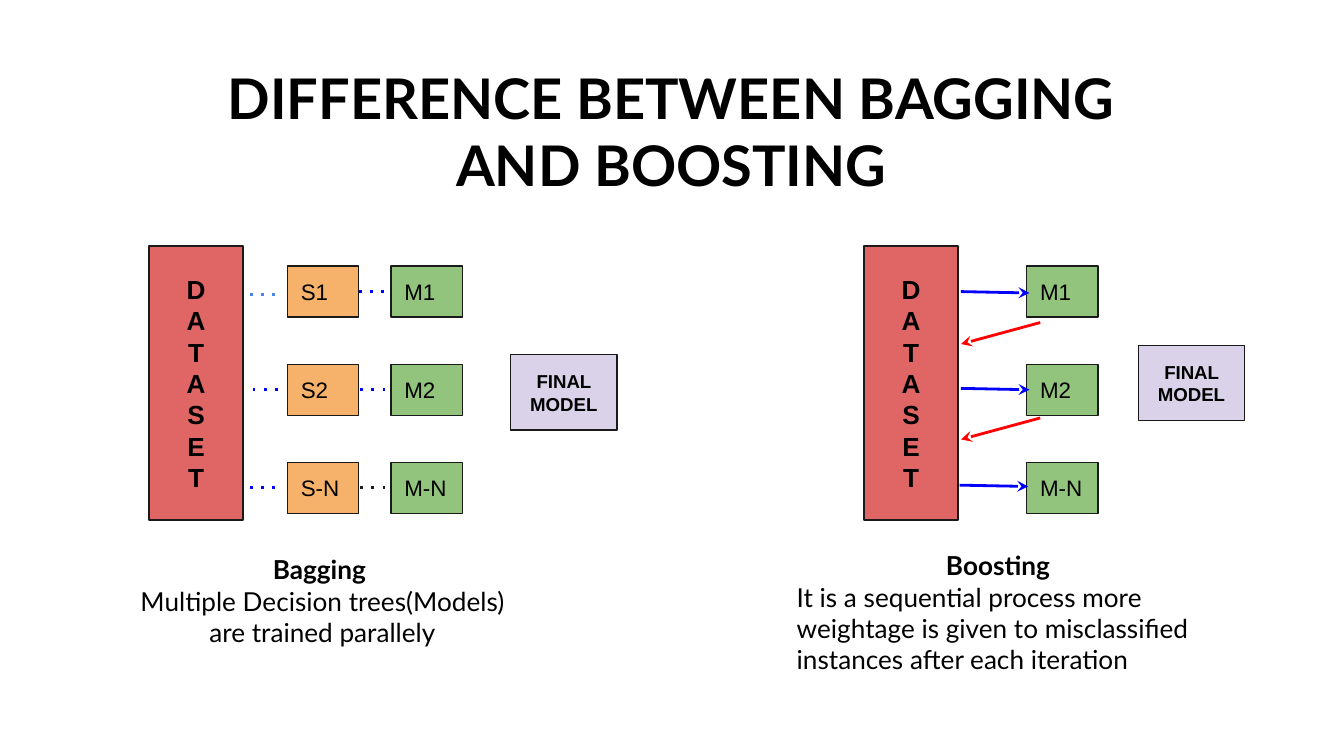
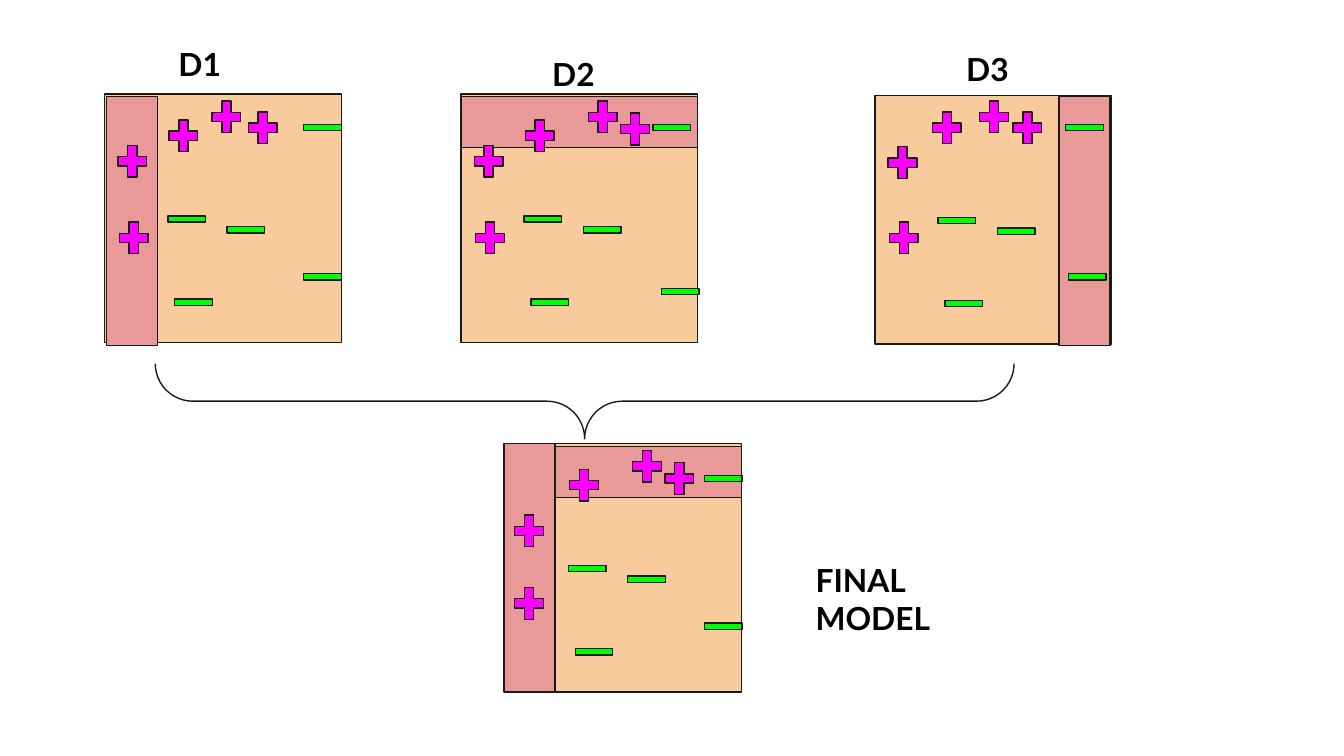
import pptx
import pptx.dml.color
import pptx.enum.dml
import pptx.enum.shapes
import pptx.enum.text
import pptx.oxml
import pptx.oxml.ns
import pptx.util

RGB = pptx.dml.color.RGBColor
SHAPE = pptx.enum.shapes.MSO_SHAPE
ALIGN = pptx.enum.text.PP_ALIGN
PX = 9144  # EMU in one px, 100 px to the inch

# Shared style
BLACK, INK = RGB(0, 0, 0), RGB(0x1A, 0x1A, 0x1A)
RED, ORANGE, GREEN = RGB(0xE0, 0x66, 0x66), RGB(0xF6, 0xB2, 0x6B), RGB(0x93, 0xC4, 0x7D)
LILAC, PEACH, ROSE = RGB(0xD9, 0xD2, 0xE9), RGB(0xF9, 0xCB, 0x9C), RGB(0xEA, 0x99, 0x99)
MAGENTA, LIME = RGB(0xFF, 0, 0xFF), RGB(0, 0xFF, 0)
BLUE, SKY, ARROW_RED = RGB(0, 0, 0xFF), RGB(0x4A, 0x86, 0xE8), RGB(0xFF, 0, 0)
HEAD_FONT, BOX_FONT = "Lato", "Arial"

# Slide 1: comparison
TITLE = "DIFFERENCE BETWEEN BAGGING AND BOOSTING"
FINAL = "FINAL MODEL"
ROW_TOP, ROW_STEP = 198, 73
DATASET_LEFTS = (111, 643)
COLUMNS = [  # left, fill, labels
    (214, ORANGE, ("S1", "S2", "S-N")),
    (291, GREEN, ("M1", "M2", "M-N")),
    (764, GREEN, ("M1", "M2", "M-N")),
]
FINAL_BOXES = [(380, 264), (847, 257)]
DOTTED_LINES = [  # left, y, colour
    (267, 217, BLUE), (186, 219, SKY), (188, 290, BLUE),
    (186, 363, BLUE), (268, 290, BLUE), (268, 363, INK),
]
ARROWS = [  # start, end, colour
    ((715, 217), (766, 218), BLUE), ((715, 289), (766, 290), BLUE),
    ((714, 361), (765, 362), BLUE),
    ((774, 240), (715, 256), ARROW_RED), ((774, 311), (715, 327), ARROW_RED),
]
CAPTIONS = [  # area, heading, body, body alignment
    ((89, 402, 302, 84), "Bagging ",
     "Multiple Decision trees(Models) are trained parallely", ALIGN.CENTER),
    ((583, 399, 324, 121), "Boosting ",
     "It is a sequential process more weightage is given to misclassified "
     "instances after each iteration", ALIGN.LEFT),
]

# Slide 2: panels, with bands and marks placed from the panel corner
COMMON_MINUSES = [(86, 91), (47, 145), (42, 83)]
LEFT_BAND, TOP_BAND, RIGHT_BAND = (1, 2, 38, 185), (0, 2, 176, 38), (137, 1, 38, 185)
PANELS = [
    {"corner": (78, 70), "bands": [LEFT_BAND],
     "pluses": [(44, 15), (76, 1), (103, 9), (7, 91), (6, 34)],
     "minuses": [(143, 15), (143, 126)]},
    {"corner": (343, 70), "bands": [TOP_BAND],
     "pluses": [(44, 15), (91, 1), (115, 10), (7, 91), (6, 34)],
     "minuses": [(138, 15), (144, 137)]},
    {"corner": (651, 71), "bands": [RIGHT_BAND],
     "pluses": [(39, 8), (74, 0), (99, 8), (7, 90), (6, 34)],
     "minuses": [(137, 14), (139, 125)]},
    {"corner": (376, 330), "bands": [TOP_BAND, (-1, 0, 38, 185)],
     "pluses": [(44, 15), (91, 1), (115, 10), (3, 103), (3, 49)],
     "minuses": [(143, 16), (143, 126)]},
]
LABELS = [
    ("D1", (123, 23, 60, 32)), ("D2", (401, 31, 60, 32)),
    ("D3", (709, 27, 60, 32)), (FINAL, (597, 407, 176, 49)),
]
BRACE = (407, -21, 56, 639)


def scaled(values):
    return [value * PX for value in values]


def write(holder, lines, size, font, anchor=pptx.enum.text.MSO_ANCHOR.TOP):
    """Each line is (text, bold, alignment) and becomes one paragraph."""
    frame = holder.text_frame
    frame.word_wrap = True
    frame.vertical_anchor = anchor
    frame.margin_left = frame.margin_right = 10 * PX
    frame.margin_top = frame.margin_bottom = 10 * PX
    for index, (text, bold, align) in enumerate(lines):
        para = frame.add_paragraph() if index else frame.paragraphs[0]
        para.alignment = align
        span = para.add_run()
        span.text = text
        span.font.name = font
        span.font.size = pptx.util.Pt(size)
        span.font.bold = bold
        span.font.color.rgb = BLACK


def add_text(page, area, lines, size):
    write(page.shapes.add_textbox(*scaled(area)), lines, size, HEAD_FONT)


def add_figure(page, kind, area, fill=None):
    shape = page.shapes.add_shape(kind, *scaled(area))
    shape.shadow.inherit = False
    if fill is None:
        shape.fill.background()
    else:
        shape.fill.solid()
        shape.fill.fore_color.rgb = fill
    shape.line.color.rgb = INK
    shape.line.width = pptx.util.Pt(0.75)
    return shape


def add_box(page, area, fill, lines, size):
    box = add_figure(page, SHAPE.RECTANGLE, area, fill)
    write(box, lines, size, BOX_FONT, pptx.enum.text.MSO_ANCHOR.MIDDLE)


def add_line(page, start, end, color, arrow=False):
    connector = page.shapes.add_connector(
        pptx.enum.shapes.MSO_CONNECTOR.STRAIGHT, *scaled(start + end))
    connector.line.color.rgb = color
    connector.line.width = pptx.util.Pt(1.5)
    properties = connector._element.spPr
    if arrow:
        outline = properties.find(pptx.oxml.ns.qn("a:ln"))
        head = outline.makeelement(pptx.oxml.ns.qn("a:tailEnd"), {"type": "stealth"})
        outline.append(head)
    else:
        connector.line.dash_style = pptx.enum.dml.MSO_LINE.ROUND_DOT
        dash = properties.find(".//" + pptx.oxml.ns.qn("a:prstDash"))
        dash.set("val", "dot")
    properties.append(properties.makeelement(pptx.oxml.ns.qn("a:effectLst")))


def build_comparison(page):
    add_text(page, (153, 37, 693, 110), [(TITLE, True, ALIGN.CENTER)], 30)
    # Datasets and their samples and models
    for left in DATASET_LEFTS:
        letters = [(letter, True, ALIGN.CENTER) for letter in "DATASET"]
        add_box(page, (left, 183, 70, 204), RED, letters, 14)
    for left, fill, labels in COLUMNS:
        for row, label in enumerate(labels):
            area = (left, ROW_TOP + row * ROW_STEP, 53, 38)
            add_box(page, area, fill, [(label, False, ALIGN.LEFT)], 12)
    for left, top in FINAL_BOXES:
        add_box(page, (left, top, 79, 56), LILAC, [(FINAL, True, ALIGN.CENTER)], 10)
    # Links
    for left, y, color in DOTTED_LINES:
        add_line(page, (left, y), (left + 24, y), color)
    for start, end, color in ARROWS:
        add_line(page, start, end, color, arrow=True)
    # Captions
    for area, heading, body, align in CAPTIONS:
        add_text(page, area, [(heading, True, ALIGN.CENTER), (body, False, align)], 14)


def add_panel(page, corner, bands, pluses, minuses):
    left, top = corner
    add_figure(page, SHAPE.RECTANGLE, (left, top, 176, 185), PEACH)
    for x, y, width, height in bands:
        add_figure(page, SHAPE.RECTANGLE, (left + x, top + y, width, height), ROSE)
    for x, y in pluses:
        add_figure(page, SHAPE.MATH_PLUS, (left + x, top + y, 29, 32), MAGENTA)
    for x, y in minuses + COMMON_MINUSES:
        add_figure(page, SHAPE.MATH_MINUS, (left + x, top + y, 38, 20), LIME)


def build_boosting_rounds(page):
    for panel in PANELS:
        add_panel(page, **panel)
    brace = add_figure(page, SHAPE.LEFT_BRACE, BRACE)
    brace.adjustments[0] = brace.adjustments[1] = 0.5
    brace.rotation = 270
    for label, area in LABELS:
        add_text(page, area, [(label, True, ALIGN.LEFT)], 17)


def main():
    deck = pptx.Presentation()
    deck.slide_width = 1000 * PX
    deck.slide_height = deck.slide_width * 9 // 16
    for build in (build_comparison, build_boosting_rounds):
        build(deck.slides.add_slide(deck.slide_layouts[6]))
    deck.save("out.pptx")


if __name__ == "__main__":
    main()
